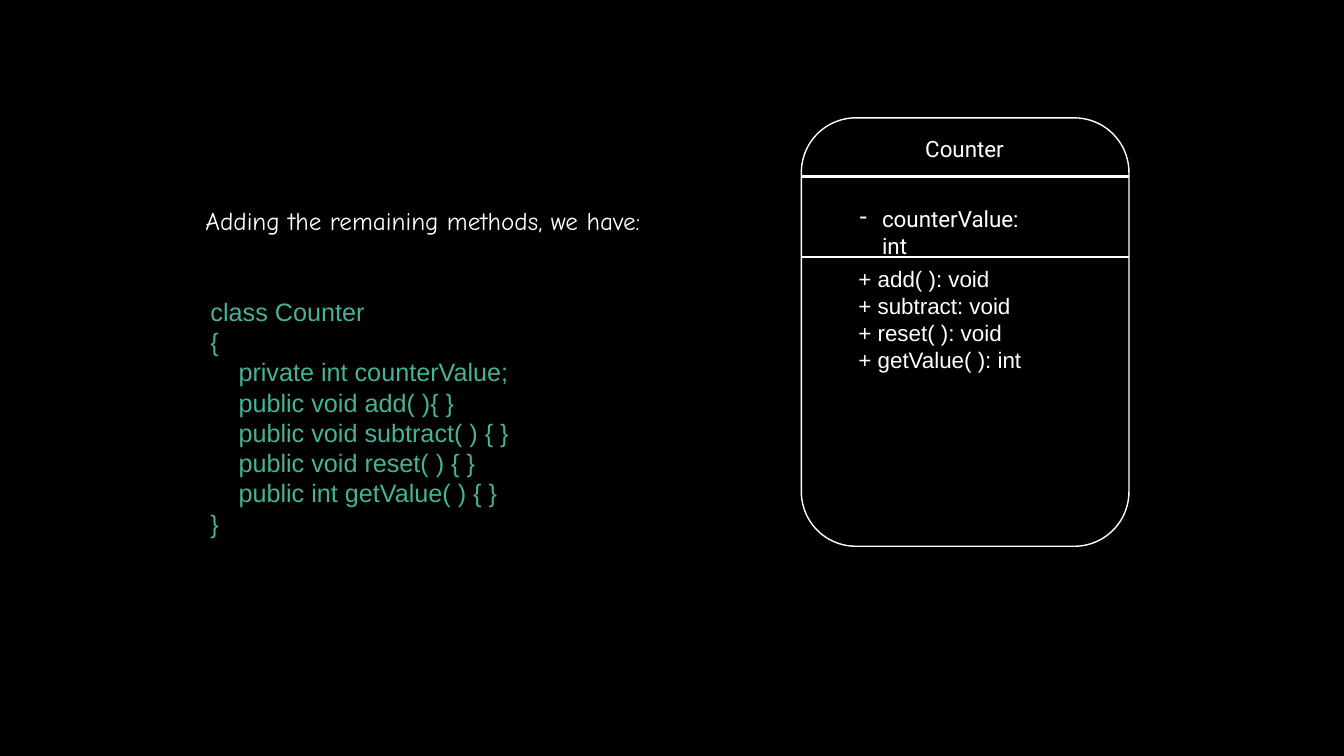
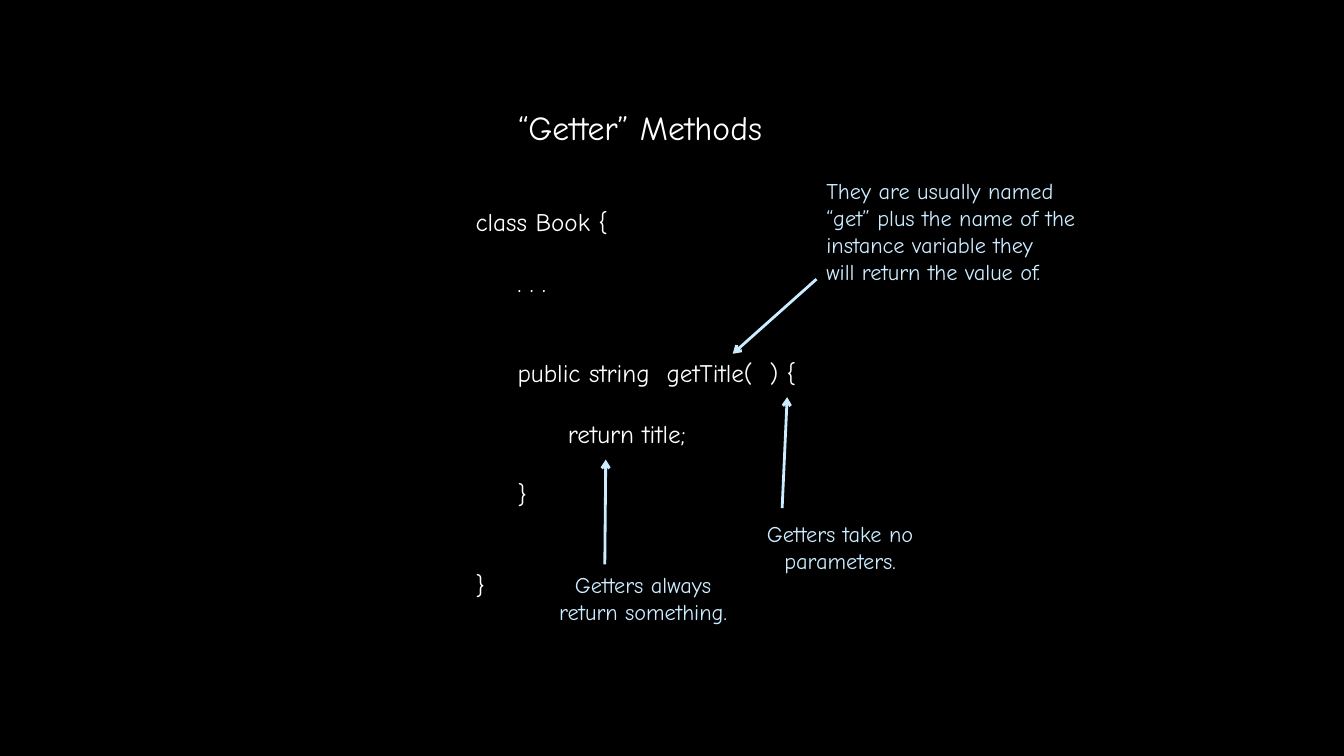
from pptx import Presentation
from pptx.dml.color import RGBColor
from pptx.enum.shapes import MSO_CONNECTOR as Link, MSO_SHAPE as Form
from pptx.enum.text import MSO_ANCHOR as Anchor, MSO_AUTO_SIZE as Fit, PP_ALIGN as Align
from pptx.oxml.ns import qn
from pptx.util import Pt
from lxml.etree import SubElement

BLACK = RGBColor(0x00, 0x00, 0x00)
WHITE = RGBColor(0xFF, 0xFF, 0xFF)
GREEN = RGBColor(0x46, 0xB2, 0x98)
SKY = RGBColor(0xCC, 0xEC, 0xFF)
HAND, SANS, UML = "Comic Neue", "Arial", "Roboto"


def write(shape, lines, size, font, color, align=Align.LEFT, wrap=False):
    """Fill a shape with lines, each given as (text, indent, space before)."""
    frame = shape.text_frame
    frame.word_wrap = wrap
    for i, (text, indent, gap) in enumerate(lines):
        para = frame.add_paragraph() if i else frame.paragraphs[0]
        para.alignment = align
        para.space_before = Pt(gap)
        para._p.get_or_add_pPr().set("marL", str(Pt(indent)))
        run = para.add_run()
        run.text = text
        run.font.size = Pt(size)
        run.font.name = font
        run.font.color.rgb = color
    return frame


def draw(slide, start, end, color, arrow=False):
    line = slide.shapes.add_connector(Link.STRAIGHT, *map(Pt, start + end))
    line.line.color.rgb = color
    line.line.width = Pt(2)
    if arrow:
        SubElement(line.line._get_or_add_ln(), qn("a:tailEnd"), type="arrow")
    SubElement(line._element.spPr, qn("a:effectLst"))


prs = Presentation()
prs.slide_width, prs.slide_height = Pt(960), Pt(540)
back = prs.slide_master.background.fill
back.solid()
back.fore_color.rgb = BLACK
blank = prs.slide_layouts[6]

# Slide 1: class code beside its diagram
slide = prs.slides.add_slide(blank)
shapes = slide.shapes
left, top, width = 572.4, 84.2, 234

card = shapes.add_shape(Form.ROUNDED_RECTANGLE, Pt(left), Pt(top), Pt(width), Pt(306))
card.shadow.inherit = False
card.fill.solid()
card.fill.fore_color.rgb = BLACK
card.line.color.rgb = WHITE
card.line.width = Pt(1)
calls = ["+ add( ): void", "+ subtract: void", "+ reset( ): void", "+ getValue( ): int"]
frame = write(card, [(call, 0, 0) for call in calls], 16, SANS, WHITE, wrap=True)
frame.vertical_anchor = Anchor.MIDDLE
frame.margin_left = Pt(29.4)
frame.margin_bottom = Pt(22)

intro = shapes.add_textbox(Pt(139.7), Pt(143.3), Pt(354), Pt(29))
frame = write(intro, [("Adding the remaining methods, we have:", 0, 0)], 18, HAND, WHITE)
frame.auto_size = Fit.SHAPE_TO_FIT_TEXT

code = shapes.add_textbox(Pt(143.3), Pt(208), Pt(310), Pt(181.4))
body = [
    "private int counterValue;",
    "public void add( ){ }",
    "public void subtract( ) { }",
    "public void reset( ) { }",
    "public int getValue( ) { }",
]
lines = [("class Counter", 0, 0), ("{", 0, 0)]
lines += [(text, 20, 0) for text in body] + [("}", 0, 0)]
write(code, lines, 18, SANS, GREEN, wrap=True)

name = shapes.add_textbox(Pt(653.8), Pt(92.9), Pt(70.6), Pt(26.6))
frame = write(name, [("Counter", 0, 0)], 16, UML, WHITE)
frame.auto_size = Fit.SHAPE_TO_FIT_TEXT

for y in (126, 183.6):
    draw(slide, (left, y), (left + width, y), WHITE)

field = shapes.add_textbox(Pt(607), Pt(143.3), Pt(141.8), Pt(26.6))
frame = write(field, [("counterValue: int", 16, 0)], 16, UML, WHITE, wrap=True)
props = frame.paragraphs[0]._p.get_or_add_pPr()
props.set("indent", str(-Pt(16)))
SubElement(props, qn("a:buChar"), char="-")

# Slide 2: getter code with three notes
slide = prs.slides.add_slide(blank)
shapes = slide.shapes

title = shapes.add_textbox(Pt(348.5), Pt(72.7), Pt(217.4), Pt(36))
frame = write(title, [("“Getter” Methods", 0, 0)], 24, HAND, WHITE, Align.CENTER)
frame.auto_size = Fit.SHAPE_TO_FIT_TEXT

row = 21.6
code = shapes.add_textbox(Pt(332.6), Pt(144), Pt(262.8), Pt(290.9))
lines = [
    ("class Book {", 0, 0),
    (". . .", 30, row),
    ("public string  getTitle(  ) {", 30, 2 * row),
    ("return title;", 66, row),
    ("}", 30, row),
    ("}", 0, 2 * row),
]
write(code, lines, 18, HAND, WHITE, wrap=True)

notes = [
    ((385.2, 404.6, 148.3, 46), Align.CENTER,
     ["Getters always", "return something."], (432, 403.2), (432.7, 328.3)),
    ((583.2, 123.1, 211.7, 85), Align.LEFT,
     ["They are usually named", "“get” plus the name of the",
      "instance variable they", "will return the value of."],
     (583.2, 199.4), (523.4, 252.7)),
    ((530.6, 367.9, 139, 46), Align.CENTER,
     ["Getters take no", "parameters."], (558.7, 362.9), (562.3, 283.7)),
]
for spot, align, texts, start, end in notes:
    note = shapes.add_textbox(*map(Pt, spot))
    frame = write(note, [(text, 0, 0) for text in texts], 16, HAND, SKY, align)
    frame.auto_size = Fit.SHAPE_TO_FIT_TEXT
    draw(slide, start, end, SKY, arrow=True)

prs.save("out.pptx")
